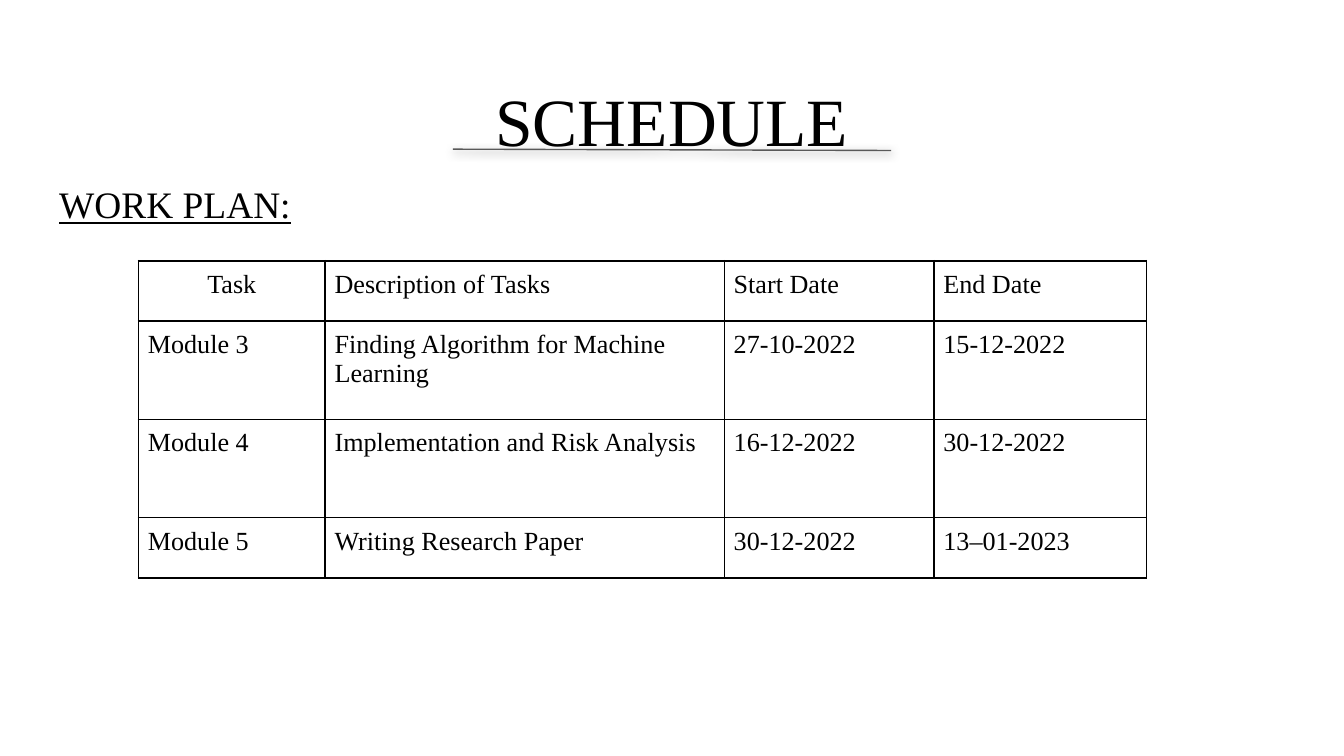
from lxml.etree import SubElement as Sub
from pptx import Presentation
from pptx.dml.color import RGBColor
from pptx.enum.shapes import MSO_CONNECTOR as Conn
from pptx.enum.text import MSO_ANCHOR as Anchor, MSO_AUTO_SIZE as Fit, PP_ALIGN as Align
from pptx.oxml.ns import qn
from pptx.util import Inches, Pt

BLACK = RGBColor(0, 0, 0)
GRAY = RGBColor(0x59, 0x59, 0x59)
WIDTHS = [1.39, 2.97, 1.56, 1.58]
HEIGHTS = [0.45, 0.73, 0.73, 0.45]
ROWS = [
    ["Task", "Description of Tasks", "Start Date", "End Date"],
    ["Module 3", "Finding Algorithm for Machine Learning", "27-10-2022", "15-12-2022"],
    ["Module 4", "Implementation and Risk Analysis", "16-12-2022", "30-12-2022"],
    ["Module 5", "Writing Research Paper", "30-12-2022", "13–01-2023"],
]


def write(frame, text, size, para={}, **font):
    frame.text = text
    p = frame.paragraphs[0]
    for key, val in para.items():
        setattr(p, key, val)
    face = p.runs[0].font
    look = {"name": "Times New Roman", "size": Pt(size), "bold": False, **font}
    for key, val in look.items():
        setattr(face, key, val)
    face.color.rgb = BLACK
    return p


def add(node, tag, **attrs):
    return Sub(node, qn(tag), attrs)


# Widescreen 16:9 page
prs = Presentation()
prs.slide_width, prs.slide_height = Inches(10), Inches(10 * 9 / 16)
slide = prs.slides.add_slide(prs.slide_layouts[1])
title, body = slide.placeholders

# Title and subheading
for box, top, high in [(title, 0.49, 0.63), (body, 1.2, 3.74)]:
    place = {"left": 0.34, "top": top, "width": 9.32, "height": high}
    for key, val in place.items():
        setattr(box, key, Inches(val))
    frame = box.text_frame
    for side in ("left", "right", "top", "bottom"):
        setattr(frame, f"margin_{side}", Inches(0.1))
    form = {"vertical_anchor": Anchor.TOP, "word_wrap": True, "auto_size": Fit.NONE}
    for key, val in form.items():
        setattr(frame, key, val)

write(title.text_frame, "SCHEDULE", 36.2, {"alignment": Align.CENTER})
plan = write(body.text_frame, "WORK PLAN:", 20,
             {"line_spacing": 1.15, "space_before": Pt(3.5), "space_after": Pt(12)},
             underline=True)
props = plan._p.get_or_add_pPr()
props.set("marL", "0")
props.set("indent", "0")
add(props, "a:buNone")

# Rule under the title, with a soft shadow
rule = slide.shapes.add_connector(Conn.STRAIGHT, Inches(6.63), Inches(1.12),
                                  Inches(3.37), Inches(1.11))
rule.line.color.rgb = GRAY
rule.line.width = Pt(0.75)
glow = add(add(rule._element.spPr, "a:effectLst"), "a:outerShdw",
           blurRad=str(Pt(4.5)), dist=str(Pt(1.5)), dir="5400000",
           algn="bl", rotWithShape="0")
add(add(glow, "a:srgbClr", val=str(BLACK)), "a:alpha", val="50000")

# Work plan table
table = slide.shapes.add_table(len(ROWS), len(WIDTHS), Inches(1.03), Inches(1.94),
                               Inches(sum(WIDTHS)), Inches(sum(HEIGHTS))).table
table.first_row = table.horz_banding = False
for col, wide in zip(table.columns, WIDTHS):
    col.width = Inches(wide)
for row, high, texts in zip(table.rows, HEIGHTS, ROWS):
    row.height = Inches(high)
    for cell, text in zip(row.cells, texts):
        for side in ("left", "right", "top", "bottom"):
            setattr(cell, f"margin_{side}", Inches(0.07))
        align = Align.CENTER if text == "Task" else Align.LEFT
        write(cell.text_frame, text, 14, {"alignment": align})
        # Borders come before the fill in the cell's XML
        props = cell._tc.get_or_add_tcPr()
        for side in "LRTB":
            edge = add(props, f"a:ln{side}", w=str(Pt(1)))
            add(add(edge, "a:solidFill"), "a:srgbClr", val=str(BLACK))
        cell.fill.background()

prs.save("out.pptx")
